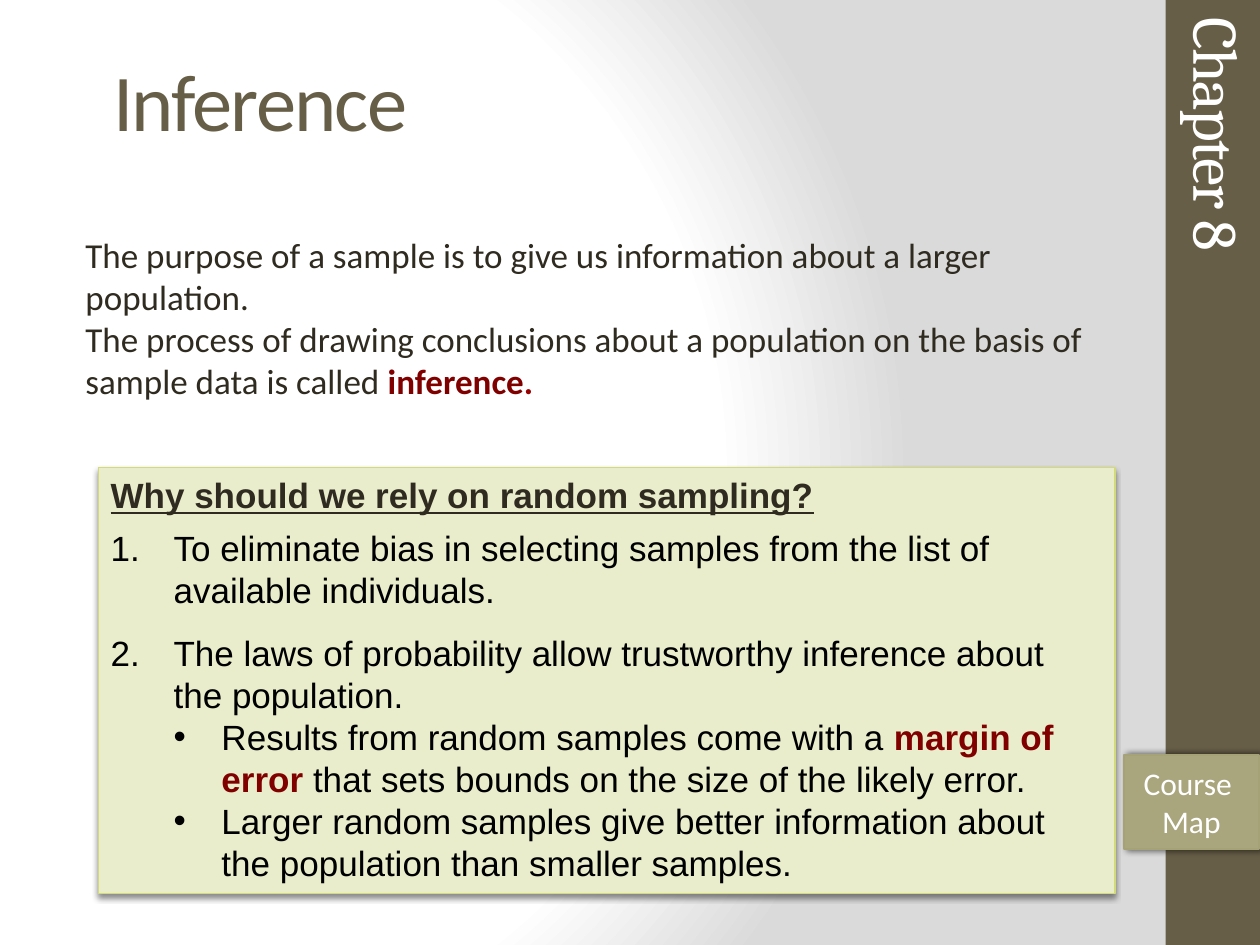
from pptx import Presentation
from pptx.dml.color import RGBColor
from pptx.enum.shapes import MSO_SHAPE
from pptx.enum.text import MSO_ANCHOR, PP_ALIGN
from pptx.oxml import parse_xml
from pptx.oxml.ns import nsdecls, qn
from pptx.util import Inches, Pt

RECT, BUTTON = MSO_SHAPE.RECTANGLE, MSO_SHAPE.ACTION_BUTTON_CUSTOM
TOP, MIDDLE = MSO_ANCHOR.TOP, MSO_ANCHOR.MIDDLE
LEFT, CENTER = PP_ALIGN.LEFT, PP_ALIGN.CENTER

COLORS = {
    "brown": "675E47", "ink": "2F2B20", "black": "000000", "white": "FFFFFF",
    "red": "800000", "bright_red": "990000", "panel": "EAEDCB",
    "panel_line": "D2DA7A", "khaki": "A9A57C", "khaki_line": "A6A278",
    "gray": "DADADA",
}
NUMBER = '<a:buFont %s typeface="+mj-lt"/>', '<a:buAutoNum %s type="arabicPeriod"/>'
BULLET = '<a:buFont %s typeface="Arial"/>', '<a:buChar %s char="•"/>'


def rgb(name):
    return RGBColor.from_string(COLORS[name])


def add_text(p, text, font="Calibri", size=20, color="ink", bold=False,
             underline=False, spacing=None):
    """Append text to a paragraph; a newline becomes a line break."""
    for i, line in enumerate(text.split("\n")):
        if i:
            p.add_line_break()
        r = p.add_run()
        r.text = line
        r.font.name, r.font.size = font, Pt(size)
        r.font.bold, r.font.underline = bold, underline
        r.font.color.rgb = rgb(color)
        if spacing is not None:
            r._r.get_or_add_rPr().set("spc", str(spacing * 100))


class SlideBuilder:
    def __init__(self, slide):
        self.s = slide

    def background(self):
        """White glow on the left fading to gray on the right."""
        self.s.background.fill.solid()
        solid = self.s._element.find(".//" + qn("a:solidFill"))
        stops = "".join(
            f'<a:gs pos="{pos}000"><a:srgbClr val="{COLORS[c]}"/></a:gs>'
            for pos, c in ((0, "white"), (75, "white"), (100, "gray")))
        solid.getparent().replace(solid, parse_xml(
            f'<a:gradFill {nsdecls("a")} rotWithShape="1"><a:gsLst>{stops}</a:gsLst>'
            '<a:path path="circle"><a:fillToRect l="20000" t="50000" '
            'r="100000" b="50000"/></a:path></a:gradFill>'))

    def frame(self, sp, anchor):
        tf = sp.text_frame
        tf.word_wrap = True
        tf.vertical_anchor = anchor
        return tf

    def shape(self, kind, x, y, w, h, fill, line=None, line_width=1, shadow=None,
              anchor=TOP):
        sp = self.s.shapes.add_shape(kind, Inches(x), Inches(y), Inches(w), Inches(h))
        sp.shadow.inherit = False
        sp.fill.solid()
        sp.fill.fore_color.rgb = rgb(fill)
        if line:
            sp.line.color.rgb = rgb(line)
            sp.line.width = Pt(line_width)
        else:
            sp.line.fill.background()
        if shadow:
            alpha, blur, dist, angle = shadow
            sp._element.spPr.find(qn("a:effectLst")).append(parse_xml(
                f'<a:outerShdw {nsdecls("a")} blurRad="{Pt(blur)}" dist="{Pt(dist)}" '
                f'dir="{angle * 60000}" rotWithShape="0"><a:srgbClr val="000000">'
                f'<a:alpha val="{alpha * 1000}"/></a:srgbClr></a:outerShdw>'))
        return self.frame(sp, anchor)

    def text_box(self, x, y, w, h, anchor=TOP, rotation=0):
        sp = self.s.shapes.add_textbox(Inches(x), Inches(y), Inches(w), Inches(h))
        sp.rotation = rotation
        return self.frame(sp, anchor)

    def paragraph(self, tf, runs, align=LEFT, after=0, line_spacing=None, level=0,
                  margin=0, hanging=0, marker=None, **style):
        """Add a paragraph of (text, format) runs sharing a common style."""
        p = tf.paragraphs[0]
        if p.runs:
            p = tf.add_paragraph()
        p.alignment, p.level = align, level
        p.space_after = Pt(after)
        if line_spacing:
            p.line_spacing = line_spacing
        if marker:
            pPr = p._p.get_or_add_pPr()
            pPr.set("marL", str(Inches(margin)))
            pPr.set("indent", str(-Inches(hanging)))
            for xml in marker:
                pPr.append(parse_xml(xml % nsdecls("a")))
        for text, extra in runs:
            add_text(p, text, **{**style, **extra})


def main():
    prs = Presentation()
    prs.slide_width, prs.slide_height = Inches(10), Inches(7.5)
    b = SlideBuilder(prs.slides.add_slide(prs.slide_layouts[6]))

    # Background and side band
    b.background()
    b.shape(RECT, 9.25, 0, 0.75, 7.5, "brown")

    # Title
    title = b.text_box(0.8, 0.17, 8.83, 1.33, anchor=MIDDLE)
    b.paragraph(title, [("Inference", {})], line_spacing=0.9, size=46,
                color="brown", spacing=-1)

    # Introduction
    intro = b.text_box(0.58, 1.8, 8.33, 1.45)
    b.paragraph(intro, [("The purpose of a sample is to give us information about "
                         "a larger population.", {})])
    b.paragraph(intro, [
        ("The process of drawing conclusions about a population on the basis of "
         "sample data is called ", {}),
        ("inference", {"color": "red", "bold": True}),
        (".", {"color": "bright_red", "bold": True})])

    # Panel on random sampling
    panel = b.shape(RECT, 0.78, 3.71, 8.07, 3.38, "panel", "panel_line", 0.79,
                    shadow=(45, 3, 2.4, 90))
    b.paragraph(panel, [("Why should we rely on random sampling?", {})], after=6,
                font="Arial", bold=True, underline=True)
    body = {"font": "Arial", "color": "black"}
    numbered = {"margin": 0.5, "hanging": 0.5, "marker": NUMBER, **body}
    bulleted = {"level": 1, "margin": 0.88, "hanging": 0.38, "marker": BULLET, **body}
    b.paragraph(panel, [("To eliminate bias in selecting samples from the list of "
                         "available individuals.", {})], after=12, **numbered)
    b.paragraph(panel, [("The laws of probability allow trustworthy inference about "
                         "the population.", {})], **numbered)
    b.paragraph(panel, [
        ("Results from random samples come with a ", {}),
        ("margin of error", {"color": "red", "bold": True}),
        (" that sets bounds on the size of the likely error.", {})], **bulleted)
    b.paragraph(panel, [("Larger random samples give better information about the "
                         "population than smaller samples.", {})], **bulleted)

    # Chapter label running down the band
    chapter = b.text_box(7.38, 1.93, 4.58, 0.8, anchor=MIDDLE, rotation=90)
    b.paragraph(chapter, [("Chapter 8", {})], font="Cambria", size=36,
                color="white", spacing=-1)

    # Course map button
    button = b.shape(BUTTON, 8.92, 5.99, 1.07, 0.75, "khaki", "khaki_line",
                     shadow=(60, 4, 2, 0), anchor=MIDDLE)
    b.paragraph(button, [("Course \nMap", {})], align=CENTER, size=18, color="white")

    prs.save("out.pptx")


if __name__ == "__main__":
    main()
